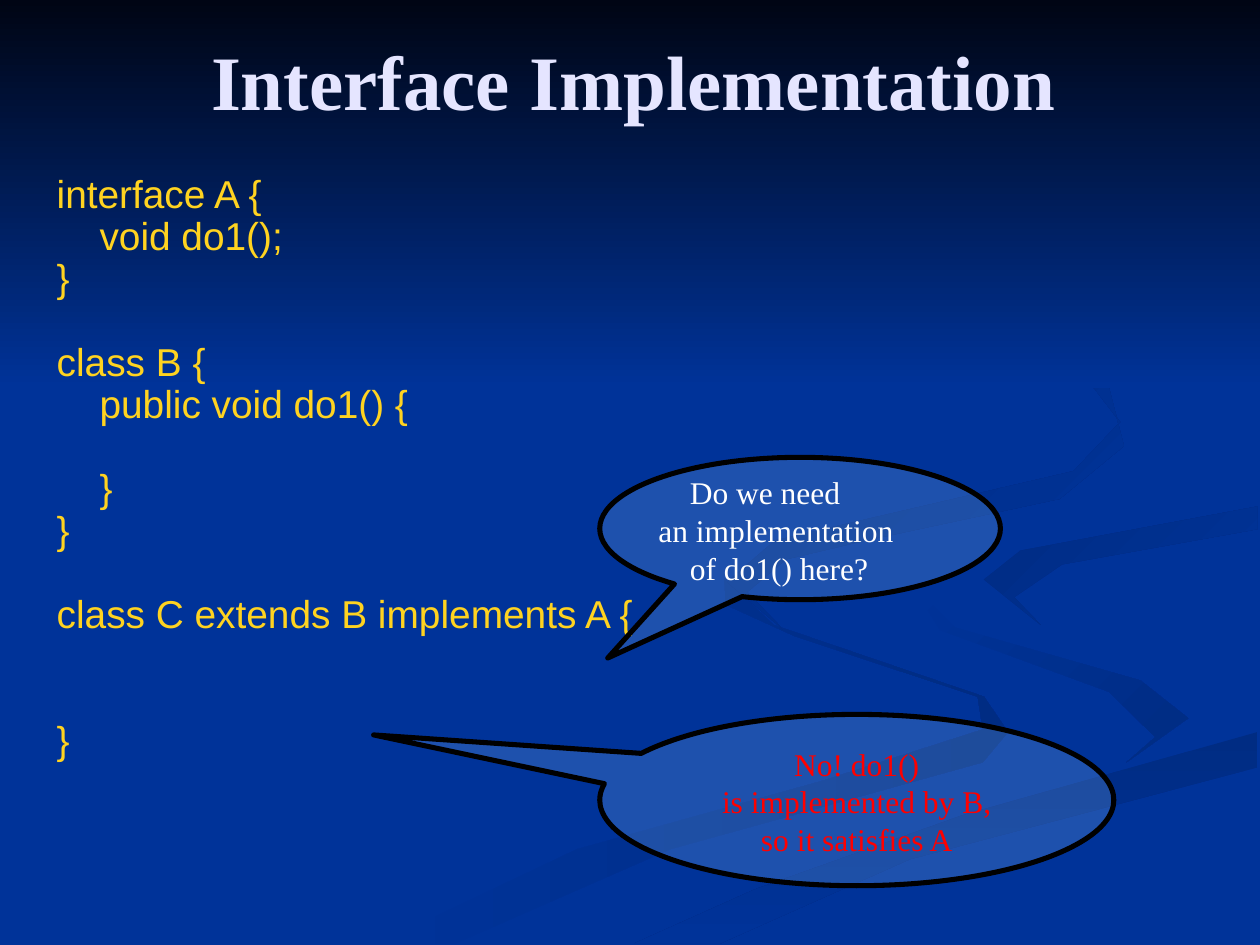
import dataclasses

import pptx
import pptx.dml.color
import pptx.enum.shapes
import pptx.enum.text
import pptx.oxml
import pptx.oxml.ns
import pptx.util

SCALE = 9144


@dataclasses.dataclass(frozen=True)
class Theme:
    background: str = "003399"
    night: str = "000514"
    shade: str = "002C83"
    title: str = "E5E5FF"
    code: str = "FFD320"
    question: str = "FFFFFF"
    answer: str = "FF0000"
    bubble: str = "99CCFF"
    outline: str = "000000"
    serif: str = "Times New Roman"
    sans: str = "Arial"
    title_size: float = 44
    code_size: float = 22.2
    code_pitch: float = 24
    bubble_size: float = 18
    outline_width: float = 2.89
    bubble_opacity: int = 20


THEME = Theme()
FADE_IN = (THEME.background, THEME.shade)
FADE_OUT = (THEME.shade, THEME.background)

RIBBONS = [
    (FADE_IN, 0, [
        (781, 553), (614, 496), (575, 459), (576, 480), (631, 505), (776, 553), (780, 579),
        (652, 620), (458, 674), (300, 749), (361, 749), (532, 674), (780, 605), (800, 581)]),
    (FADE_IN, 45, [
        (943, 570), (905, 540), (758, 498), (724, 464), (746, 500), (880, 549), (917, 585),
        (894, 605)]),
    (FADE_OUT, 90, [
        (503, 749), (571, 749), (722, 682), (998, 609), (998, 581), (764, 647), (599, 706)]),
    (FADE_OUT, 45, [
        (781, 460), (826, 496), (805, 474), (843, 448), (998, 420), (998, 402), (810, 437)]),
    (FADE_OUT, 45, [
        (683, 430), (841, 396), (892, 354), (880, 307), (821, 261), (762, 233), (846, 279),
        (889, 335), (852, 374), (615, 429), (577, 462), (622, 500), (593, 470), (624, 444)]),
]

CODE_LINES = [
    ("interface A {", 0, 0),
    ("void do1();", 1, 0),
    ("}", 0, 0),
    ("class B {", 0, 1),
    ("public void do1() {", 1, 0),
    ("}", 1, 1),
    ("}", 0, 0),
    ("class C extends B implements A {", 0, 1),
    ("}", 0, 2),
]


def px(value):
    return pptx.util.Emu(value * SCALE)


def rgb(color):
    return pptx.dml.color.RGBColor.from_string(color)


def place(shape, box):
    shape.left, shape.top, shape.width, shape.height = map(px, box)


def paint_gradient(shape, colors, angle):
    shape.shadow.inherit = False
    shape.line.fill.background()
    shape.fill.gradient()
    shape.fill.gradient_angle = -angle % 360
    for stop, color in zip(shape.fill.gradient_stops, colors):
        stop.color.rgb = rgb(color)


def set_font(paragraph, name, size, color, bold=False):
    paragraph.font.name = name
    paragraph.font.size = pptx.util.Pt(size)
    paragraph.font.color.rgb = rgb(color)
    paragraph.font.bold = bold


def set_margins(frame, left, top, right, bottom):
    frame.margin_left, frame.margin_top = px(left), px(top)
    frame.margin_right, frame.margin_bottom = px(right), px(bottom)
    frame.word_wrap = True
    frame.auto_size = pptx.enum.text.MSO_AUTO_SIZE.NONE


def indent(paragraph, distance):
    properties = paragraph._p.get_or_add_pPr()
    properties.set("marL", str(px(distance)))
    properties.set("indent", "0")
    return properties


def fill_lines(frame, count):
    return [frame.paragraphs[0]] + [frame.add_paragraph() for _ in range(count - 1)]


def add_backdrop(slide, box):
    left, top = box[:2]
    slide.background.fill.solid()
    slide.background.fill.fore_color.rgb = rgb(THEME.background)
    for colors, angle, points in RIBBONS:
        corners = [(left + x, top + y) for x, y in points]
        builder = slide.shapes.build_freeform(*corners[0], scale=SCALE)
        builder.add_line_segments(corners[1:], close=True)
        paint_gradient(builder.convert_to_shape(), colors, angle)
    sky = slide.shapes.add_shape(pptx.enum.shapes.MSO_SHAPE.RECTANGLE, *map(px, box))
    paint_gradient(sky, (THEME.night, THEME.background), 90)


def add_title(slide, box):
    title = slide.shapes.title
    slide.shapes._spTree.append(title._element)
    place(title, box)
    set_margins(title.text_frame, 10, 3, 10, 5)
    title.text_frame.vertical_anchor = pptx.enum.text.MSO_ANCHOR.MIDDLE
    title.text_frame.text = "Interface Implementation"
    paragraph = title.text_frame.paragraphs[0]
    paragraph.alignment = pptx.enum.text.PP_ALIGN.CENTER
    set_font(paragraph, THEME.serif, THEME.title_size, THEME.title, bold=True)


def add_code(slide, box):
    body = slide.placeholders[1]
    slide.shapes._spTree.append(body._element)
    place(body, box)
    set_margins(body.text_frame, 0, 2, 0, 0)
    paragraphs = fill_lines(body.text_frame, len(CODE_LINES))
    for paragraph, (text, level, gap) in zip(paragraphs, CODE_LINES):
        paragraph.text = text
        paragraph.line_spacing = pptx.util.Pt(THEME.code_pitch)
        paragraph.space_before = pptx.util.Pt(gap * THEME.code_pitch)
        set_font(paragraph, THEME.sans, THEME.code_size, THEME.code)
        indent(paragraph, level * 34).insert_element_before(
            pptx.oxml.parse_xml(f'<a:buNone {pptx.oxml.ns.nsdecls("a")}/>'),
            "a:tabLst", "a:defRPr", "a:extLst")


def add_bubble(slide, box, tail, lines, color, alignment):
    bubble = slide.shapes.add_shape(pptx.enum.shapes.MSO_SHAPE.OVAL_CALLOUT, *map(px, box))
    bubble.shadow.inherit = False
    bubble.adjustments[0], bubble.adjustments[1] = tail
    bubble.fill.solid()
    bubble.fill.fore_color.rgb = rgb(THEME.bubble)
    tint = bubble._element.spPr.find(".//" + pptx.oxml.ns.qn("a:srgbClr"))
    tint.append(pptx.oxml.parse_xml(
        f'<a:alpha {pptx.oxml.ns.nsdecls("a")} val="{THEME.bubble_opacity * 1000}"/>'))
    bubble.line.color.rgb = rgb(THEME.outline)
    bubble.line.width = pptx.util.Pt(THEME.outline_width)
    set_margins(bubble.text_frame, 0, 2, 0, 0)
    bubble.text_frame.vertical_anchor = pptx.enum.text.MSO_ANCHOR.MIDDLE
    for paragraph, (text, offset) in zip(fill_lines(bubble.text_frame, len(lines)), lines):
        paragraph.text = text
        paragraph.alignment = alignment
        indent(paragraph, offset)
        set_font(paragraph, THEME.serif, THEME.bubble_size, color)


def main():
    presentation = pptx.Presentation()
    presentation.slide_width, presentation.slide_height = px(1000), px(750)
    slide = presentation.slides.add_slide(presentation.slide_layouts[1])
    add_backdrop(slide, (0, 0, 1000, 308))
    add_title(slide, (53, 23, 900, 83))
    add_code(slide, (45, 136, 897, 544))
    add_bubble(slide, (476, 363, 318, 113), (-0.48, 0.91),
               [("Do we need", 25), ("an implementation", 0), ("of do1() here?", 25)],
               THEME.question, pptx.enum.text.PP_ALIGN.LEFT)
    add_bubble(slide, (476, 567, 408, 136), (-0.94, -0.38),
               [("No! do1()", 0), ("is implemented by B,", 0), ("so it satisfies A", 0)],
               THEME.answer, pptx.enum.text.PP_ALIGN.CENTER)
    presentation.save("out.pptx")


if __name__ == "__main__":
    main()
